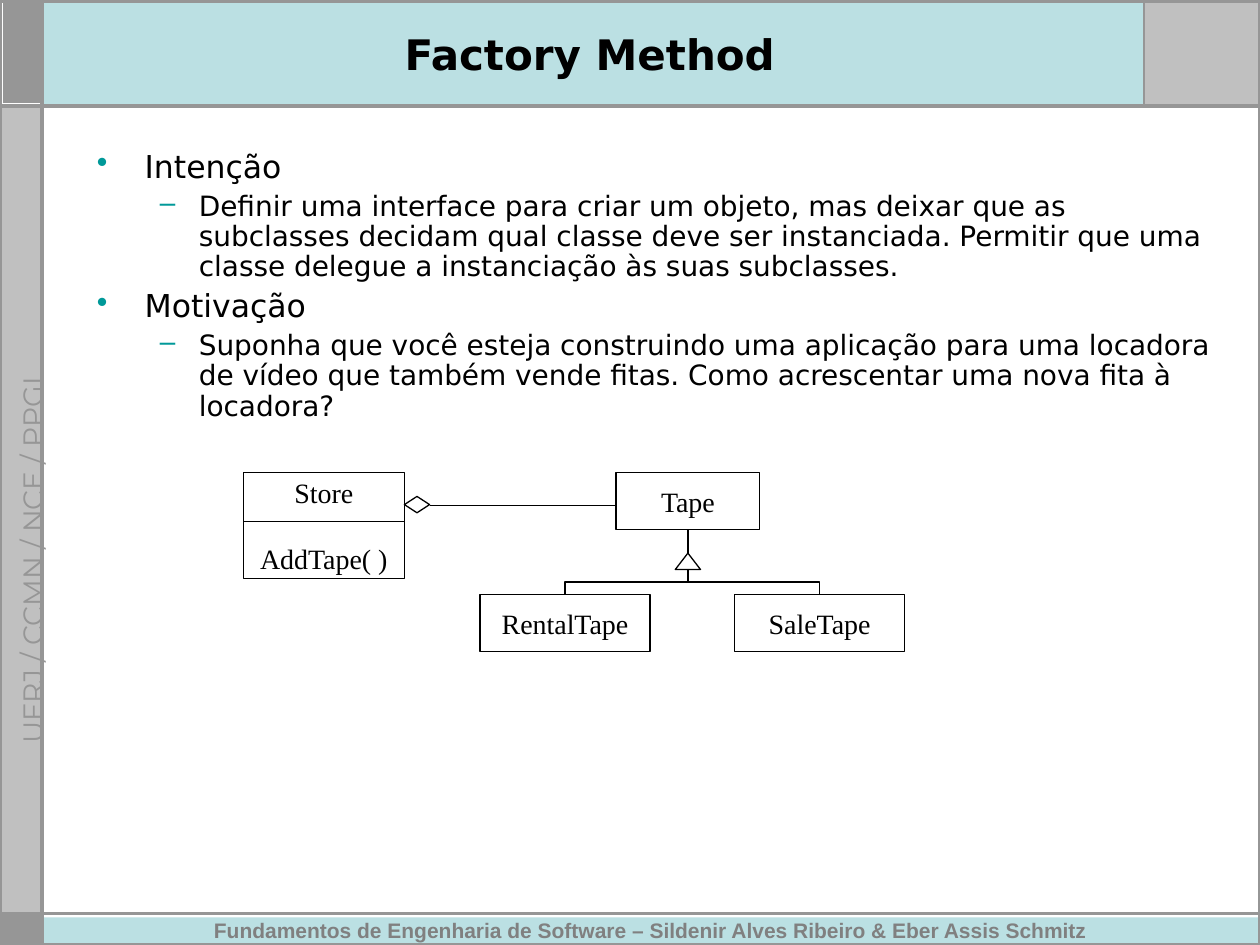
from lxml import etree
from pptx import Presentation, util as u
from pptx.dml.color import RGBColor
from pptx.enum import shapes, text
from pptx.oxml.ns import qn

THEME = {
    "black": "000000", "white": "FFFFFF", "aqua": "BBE0E3", "silver": "C0C0C0",
    "gray": "969696", "footer": "808080", "bullet": "009999",
    "title_size": 24, "class_size": 16, "footer_size": 12, "side_size": 16,
    "sans": "DejaVu Sans", "serif": "Times New Roman",
    "footer_font": "Arial", "side_font": "Montserrat",
}
TITLE = "Factory Method"
FOOTER = "Fundamentos de Engenharia de Software – Sildenir Alves Ribeiro & Eber Assis Schmitz"
SIDE = "UFRJ / CCMN / NCE / PPGI"
TOPICS = [
    ("Intenção", "Definir uma interface para criar um objeto, mas deixar que as subclasses "
     "decidam qual classe deve ser instanciada. Permitir que uma classe delegue a "
     "instanciação às suas subclasses."),
    ("Motivação", "Suponha que você esteja construindo uma aplicação para uma locadora de "
     "vídeo que também vende fitas. Como acrescentar uma nova fita à locadora?"),
]
LEVELS = [
    {"mark": "•", "margin": 0.38, "hang": 0.38, "size": 18, "before": 4.5},
    {"mark": "–", "margin": 0.81, "hang": 0.31, "size": 16, "before": 4},
]
CLASSES = {
    "Store": ((1.93, 3.75, 1.28, 0.84), ["Store", "AddTape( )"]),
    "Tape": ((4.89, 3.75, 1.14, 0.45), ["Tape"]),
    "RentalTape": ((3.81, 4.72, 1.35, 0.45), ["RentalTape"]),
    "SaleTape": ((5.83, 4.72, 1.35, 0.45), ["SaleTape"]),
}
PANELS = [
    ((0.01, 0, 0.35, 0.83), "gray", "white", 1.5),
    ((0.33, 0, 9.67, 0.83), "aqua", None, 0),
    ((0, 0.84, 0.33, 6.42), "silver", "silver", 0.75),
    ((9.08, 0, 0.92, 0.83), "silver", None, 0),
    ((0.33, 7.28, 9.67, 0.21), "aqua", None, 0),
]
RULES = [
    ((9.08, 0, 9.08, 0.83), 1),
    ((0, 0.84, 10, 0.84), 2.25),
    ((0.33, 0, 0.33, 7.5), 2.25),
    ((0, 7.25, 10, 7.25), 2.25),
]

deck = Presentation()
deck.slide_width, deck.slide_height = u.Inches(10), u.Inches(7.5)
slide = deck.slides.add_slide(deck.slide_layouts[5])


def color(name):
    return RGBColor.from_string(THEME[name])


def inches(values):
    return [u.Inches(value) for value in values]


def add_block(box, fill=None, line="black", width=0.75, kind=shapes.MSO_SHAPE.RECTANGLE):
    block = slide.shapes.add_shape(kind, *inches(box))
    block.shadow.inherit = False
    if fill:
        block.fill.solid()
        block.fill.fore_color.rgb = color(fill)
    else:
        block.fill.background()
    if line:
        block.line.color.rgb = color(line)
        block.line.width = u.Pt(width)
    else:
        block.line.fill.background()
    return block


def add_line(ends, line="black", width=0.75, kind=shapes.MSO_CONNECTOR.STRAIGHT):
    connector = slide.shapes.add_connector(kind, *inches(ends))
    connector.line.color.rgb = color(line)
    connector.line.width = u.Pt(width)
    etree.SubElement(connector._element.spPr, qn("a:effectLst"))
    return connector


def add_branch(x1, y1, x2, y2):
    run, drop = abs(x2 - x1), y2 - y1
    left, top = (x1 + x2 - drop) / 2, (y1 + y2 - run) / 2
    start, end, turn = (left, left + drop, 90) if x2 < x1 else (left + drop, left, 270)
    branch = add_line((start, top, end, top + run), kind=shapes.MSO_CONNECTOR.ELBOW)
    branch._element.spPr.find(qn("a:xfrm")).set("rot", str(turn * 60000))


def write(shape, lines, size, font, ink, bold=False, wrap=False,
          align=text.PP_ALIGN.CENTER, anchor=text.MSO_ANCHOR.MIDDLE):
    frame = shape.text_frame
    frame.text = "\n".join(lines)
    frame.word_wrap = wrap
    frame.auto_size = text.MSO_AUTO_SIZE.NONE
    frame.vertical_anchor = anchor
    for paragraph in frame.paragraphs:
        paragraph.alignment = align
        for run in paragraph.runs:
            run.font.size, run.font.name, run.font.bold = u.Pt(size), font, bold
            run.font.color.rgb = color(ink)
    return frame


def add_bullet(paragraph, level):
    props = paragraph._p.get_or_add_pPr()
    props.set("marL", str(u.Inches(level["margin"])))
    props.set("indent", str(-u.Inches(level["hang"])))
    tint = etree.SubElement(props, qn("a:buClr"))
    etree.SubElement(tint, qn("a:srgbClr")).set("val", THEME["bullet"])
    etree.SubElement(props, qn("a:buChar")).set("char", level["mark"])


def build_frame():
    panels = [add_block(*panel) for panel in PANELS]
    write(panels[-1], [FOOTER], THEME["footer_size"], THEME["footer_font"], "footer", bold=True)
    side = slide.shapes.add_textbox(*inches((-1.84, 3.91, 4, 0.18)))
    side.rotation = 270
    write(side, [SIDE], THEME["side_size"], THEME["side_font"], "gray",
          align=text.PP_ALIGN.LEFT, anchor=text.MSO_ANCHOR.TOP)
    for ends, width in RULES:
        add_line(ends, "gray", width)
    add_block((0, 7.26, 0.33, 0.24), "gray", "gray")
    add_block((0, 0.01, 10, 7.49), None, "gray", 2.25)


def build_text():
    title = slide.shapes.title
    slide.shapes._spTree.append(title._element)
    title.left, title.top, title.width, title.height = inches((0.42, 0.12, 8.52, 0.62))
    write(title, [TITLE], THEME["title_size"], THEME["sans"], "black", bold=True, wrap=True)

    body = slide.shapes.add_textbox(*inches((0.67, 1.15, 9.08, 3.37)))
    entries = [(depth, entry) for topic in TOPICS for depth, entry in enumerate(topic)]
    frame = write(body, [entry for _, entry in entries], LEVELS[0]["size"], THEME["sans"],
                  "black", wrap=True, align=text.PP_ALIGN.LEFT, anchor=text.MSO_ANCHOR.TOP)
    for index, (paragraph, (depth, _)) in enumerate(zip(frame.paragraphs, entries)):
        level = LEVELS[depth]
        add_bullet(paragraph, level)
        paragraph.level = depth
        paragraph.line_spacing = 0.9
        if index:
            paragraph.space_before = u.Pt(level["before"])
        paragraph.runs[0].font.size = u.Pt(level["size"])


def build_diagram():
    boxes = {}
    for name, (box, lines) in CLASSES.items():
        boxes[name] = add_block(box)
        frame = write(boxes[name], lines, THEME["class_size"], THEME["serif"], "black")
        for method in frame.paragraphs[1:]:
            method.space_before = u.Pt(18.5)

    left, top, width, height = CLASSES["Store"][0]
    store_right = left + width
    add_line((left, 4.14, store_right, 4.14))
    add_block((store_right, 3.94, 0.2, 0.13), kind=shapes.MSO_SHAPE.DIAMOND)

    left, top, width, height = CLASSES["Tape"][0]
    add_line((store_right + 0.2, 4.01, left, 4.01))
    middle, bottom = left + width / 2, top + height
    add_block((middle - 0.1, 4.39, 0.2, 0.13), kind=shapes.MSO_SHAPE.ISOSCELES_TRIANGLE)
    add_line((middle, 4.39, middle, bottom)).end_connect(boxes["Tape"], 2)
    for name in ("RentalTape", "SaleTape"):
        left, top, width, height = CLASSES[name][0]
        add_branch(middle, 4.52, left + width / 2, top)


build_frame()
build_text()
build_diagram()
deck.save("out.pptx")
